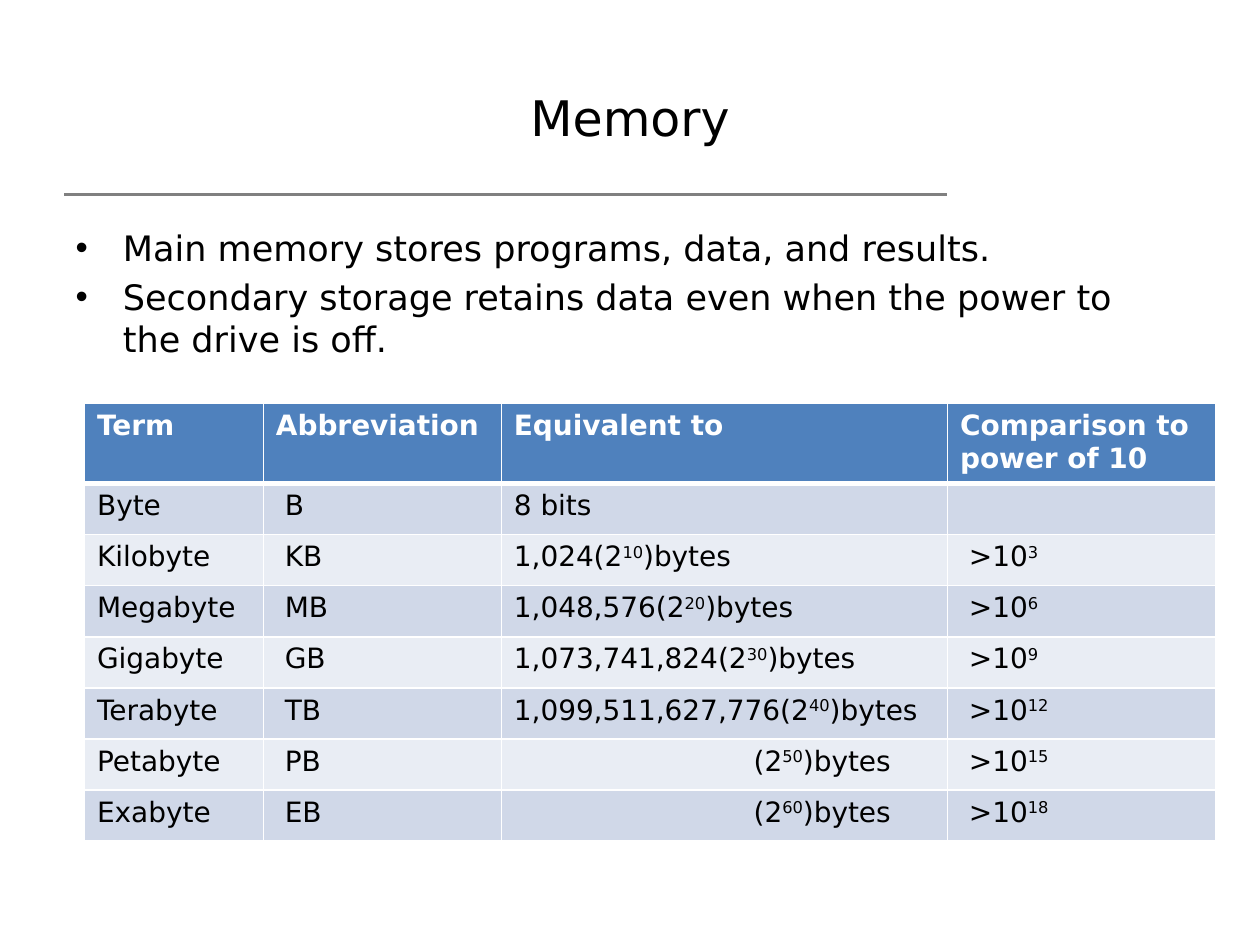
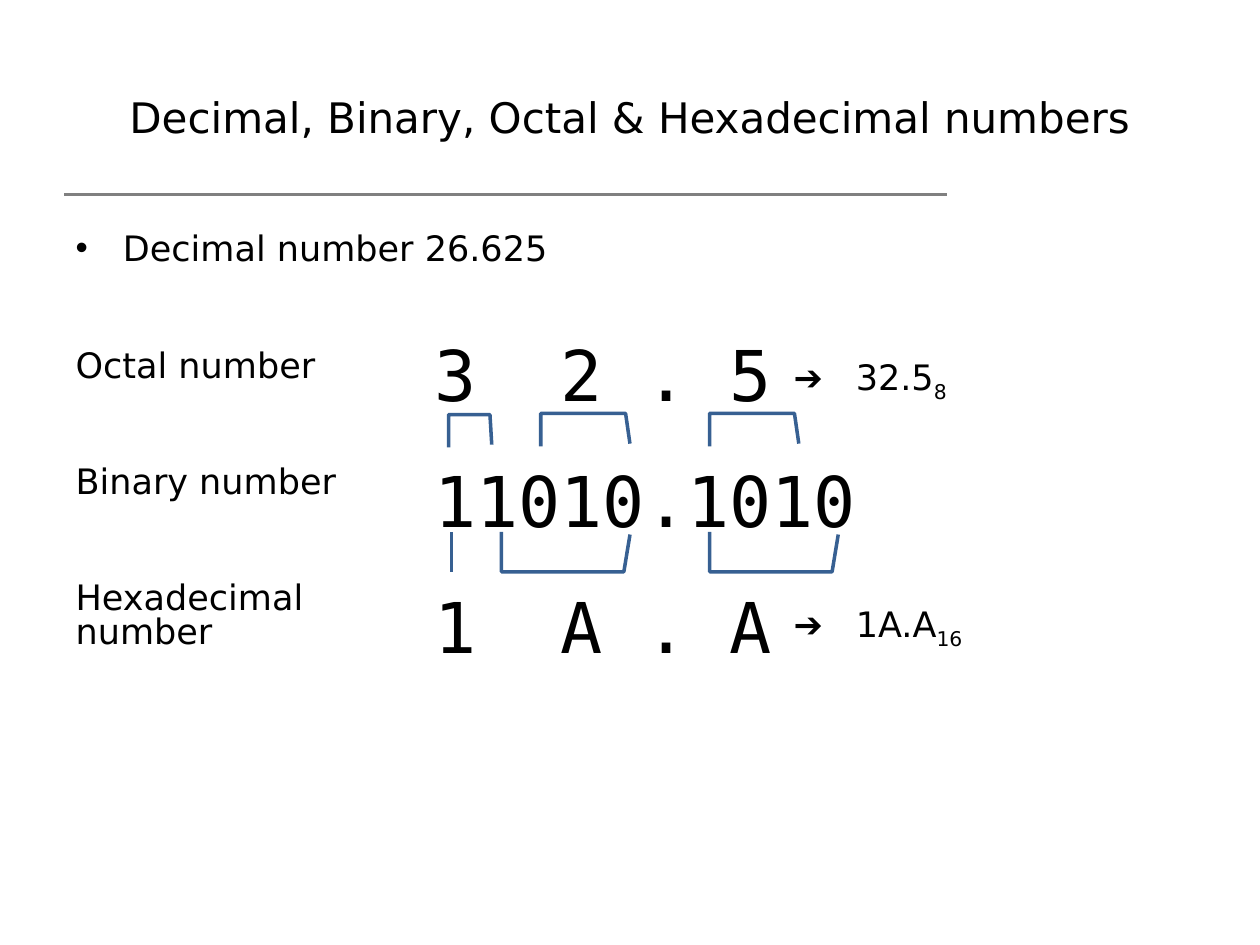
from lxml import etree
from pptx import Presentation
from pptx.dml.color import RGBColor
from pptx.enum.shapes import MSO_CONNECTOR
from pptx.enum.text import MSO_ANCHOR, MSO_AUTO_SIZE, PP_ALIGN
from pptx.oxml.ns import qn
from pptx.util import Pt

STRAIGHT = MSO_CONNECTOR.STRAIGHT
MIDDLE = MSO_ANCHOR.MIDDLE
CENTER = PP_ALIGN.CENTER
NO_FIT, GROW = MSO_AUTO_SIZE.NONE, MSO_AUTO_SIZE.SHAPE_TO_FIT_TEXT

COLORS = {"text": "000000", "white": "FFFFFF", "rule": "808080", "header": "4F81BD",
          "odd": "D0D8E8", "even": "E9EDF4", "bracket": "376092"}
SANS, MONO = "DejaVu Sans", "DejaVu Sans Mono"
SUPERSCRIPT, SUBSCRIPT = 30, -25

# Content: memory slide
MEMORY_POINTS = ["Main memory stores programs, data, and results.",
                 "Secondary storage retains data even when the power to the drive is off."]
MEMORY_HEADER = ["Term", "Abbreviation", "Equivalent to", "Comparison to power of 10"]
# term, abbreviation, number of bytes, power of 2, power of 10
MEMORY_UNITS = [("Kilobyte", "KB", "1,024", 10, 3),
                ("Megabyte", "MB", "1,048,576", 20, 6),
                ("Gigabyte", "GB", "1,073,741,824", 30, 9),
                ("Terabyte", "TB", "1,099,511,627,776", 40, 12),
                ("Petabyte", "PB", "", 50, 15),
                ("Exabyte", "EB", "", 60, 18)]
COLUMN_WIDTHS = [102.2, 136, 255, 153.4]
HEADER_HEIGHT, ROW_HEIGHT = 45.6, 29.2
POWER_INDENT = 137  # lines up powers that have no written-out number

# Content: number slide; (label, line spacing)
NUMBER_LABELS = [("Octal number", 2.6), ("Binary number", 2.6),
                 ("Hexadecimal", 2.6), ("number", 0.6)]
# value, base, top
RESULTS = [("32.5", "8", 203.1), ("1A.A", "16", 344.3)]
ARROW_LEFT, VALUE_LEFT = 453.5, 489
DIGIT_LINES = ["3  2 . 5", "11010.1010", "1  A . A"]
# left, right, slant of the right leg, y of the open end, y of the closed side
BRACKETS = [(256.3, 281, 1, 255.6, 237),
            (309, 360, 2.5, 255, 236.2),
            (405.5, 456.5, 2.5, 255, 236.2),
            (286.5, 360, 3.5, 304, 326.8),
            (405.5, 479, 3.5, 304, 326.8)]
SINGLE_DIGIT_LINE = (258, 326.8, 258, 304)


def format_runs(paragraph, size, font=SANS, color="text", bold=False):
    for run in paragraph.runs:
        run.font.size = Pt(size)
        run.font.name = font
        run.font.bold = bold
        run.font.color.rgb = RGBColor.from_string(COLORS[color])


def write_runs(paragraph, parts, size, **style):
    """Write (text, baseline) parts into one paragraph."""
    for text, baseline in parts:
        run = paragraph.add_run()
        run.text = text
        if baseline:
            run.font._element.set("baseline", str(baseline * 1000))
    format_runs(paragraph, size, **style)


def place(shape, left, top, width, height):
    shape.left, shape.top = Pt(left), Pt(top)
    shape.width, shape.height = Pt(width), Pt(height)


def add_line(slide, ends, color, width):
    line = slide.shapes.add_connector(STRAIGHT, *[Pt(value) for value in ends])
    line.line.color.rgb = RGBColor.from_string(COLORS[color])
    line.line.width = Pt(width)
    etree.SubElement(line.element.spPr, qn("a:effectLst"))
    return line


def add_slide(title, title_size, points, body_width):
    """Add a slide with its title and bulleted list."""
    slide = presentation.slides.add_slide(presentation.slide_layouts[1])
    place(slide.shapes.title, 36, 21.6, 648, 90)
    title_frame = slide.shapes.title.text_frame
    title_frame.text = title
    title_frame.vertical_anchor = MIDDLE
    title_frame.paragraphs[0].alignment = CENTER
    format_runs(title_frame.paragraphs[0], title_size)
    body = slide.placeholders[1]
    place(body, 36, 126, body_width, 356.4)
    body.text_frame.auto_size = NO_FIT
    body.text_frame.text = "\n".join(points)
    for paragraph in body.text_frame.paragraphs:
        format_runs(paragraph, 20)
    return slide


def style_cell(cell, fill, bottom_width=1):
    properties = cell._tc.get_or_add_tcPr()
    for side in ("L", "R", "T", "B"):
        width = bottom_width if side == "B" else 1
        border = etree.SubElement(properties, qn("a:ln" + side), w=str(Pt(width)))
        solid = etree.SubElement(border, qn("a:solidFill"))
        etree.SubElement(solid, qn("a:srgbClr"), val=COLORS["white"])
    cell.fill.solid()
    cell.fill.fore_color.rgb = RGBColor.from_string(COLORS[fill])


def add_result_text(slide, left, top, width, parts):
    """Add a one-line text box without margins."""
    frame = slide.shapes.add_textbox(Pt(left), Pt(top), Pt(width), Pt(24)).text_frame
    frame.margin_left = frame.margin_right = frame.margin_top = frame.margin_bottom = 0
    frame.word_wrap = True
    write_runs(frame.paragraphs[0], parts, 20)


def add_bracket(slide, left, right, slant, open_y, closed_y):
    short_y = open_y + (1.5 if closed_y > open_y else -1.5)
    builder = slide.shapes.build_freeform(Pt(left), Pt(open_y))
    corners = [(left, closed_y), (right - slant, closed_y), (right, short_y)]
    builder.add_line_segments([(Pt(x), Pt(y)) for x, y in corners], close=False)
    bracket = builder.convert_to_shape()
    bracket.shadow.inherit = False
    bracket.fill.background()
    bracket.line.color.rgb = RGBColor.from_string(COLORS["bracket"])
    bracket.line.width = Pt(2)


presentation = Presentation()
presentation.slide_width, presentation.slide_height = Pt(720), Pt(540)

# Memory slide
memory = add_slide("Memory", 28, MEMORY_POINTS, 618.5)

# Rule below the title, moved to the master so that all slides share it
rule = add_line(memory, (36.7, 111.3, 541.4, 111.3), "rule", 1.75)
presentation.slide_master.shapes.element.append(rule.element)

# Memory table
rows = [[[(text, 0)] for text in MEMORY_HEADER],
        [[("Byte", 0)], [(" B", 0)], [("8 bits", 0)], []]]
for term, abbreviation, count, power_of_two, power_of_ten in MEMORY_UNITS:
    rows.append([[(term, 0)], [(" " + abbreviation, 0)],
                 [(count + "(2", 0), (str(power_of_two), SUPERSCRIPT), (")bytes", 0)],
                 [(" >10", 0), (str(power_of_ten), SUPERSCRIPT)]])
table = memory.shapes.add_table(
    len(rows), len(COLUMN_WIDTHS), Pt(48.3), Pt(230.7), Pt(sum(COLUMN_WIDTHS)),
    Pt(HEADER_HEIGHT + ROW_HEIGHT * (len(rows) - 1))).table
for column, width in zip(table.columns, COLUMN_WIDTHS):
    column.width = Pt(width)
for row_index, row in enumerate(rows):
    is_header = row_index == 0
    table.rows[row_index].height = Pt(HEADER_HEIGHT if is_header else ROW_HEIGHT)
    fill = "header" if is_header else "odd" if row_index % 2 else "even"
    for column_index, parts in enumerate(row):
        cell = table.cell(row_index, column_index)
        style_cell(cell, fill, 3 if is_header else 1)
        paragraph = cell.text_frame.paragraphs[0]
        write_runs(paragraph, parts, 16, bold=is_header,
                   color="white" if is_header else "text")
        if parts and parts[0][0] == "(2":
            paragraph._p.get_or_add_pPr().set("marL", str(Pt(POWER_INDENT)))

# Number slide
numbers = add_slide("Decimal, Binary, Octal & Hexadecimal numbers", 24,
                    ["Decimal number 26.625"], 648)
for label, spacing in NUMBER_LABELS:
    paragraph = numbers.placeholders[1].text_frame.add_paragraph()
    paragraph.text = label
    paragraph.line_spacing = spacing
    format_runs(paragraph, 20)
    properties = paragraph._p.get_or_add_pPr()
    properties.set("marL", "0")
    properties.set("indent", "0")
    etree.SubElement(properties, qn("a:buNone"))

# Aligned digits
digits = numbers.shapes.add_textbox(Pt(241.2), Pt(162), Pt(334.8), Pt(225.4))
digits.text_frame.word_wrap = True
digits.text_frame.auto_size = GROW
digits.text_frame.text = "\n".join(DIGIT_LINES)
for paragraph in digits.text_frame.paragraphs:
    paragraph.line_spacing = 1.5
    format_runs(paragraph, 40, font=MONO)

# Results to the right of the digits
for value, base, top in RESULTS:
    add_result_text(numbers, ARROW_LEFT, top, 24, [("\u2794", 0)])
    add_result_text(numbers, VALUE_LEFT, top, 90, [(value, 0), (base, SUBSCRIPT)])

# Brackets that group the binary digits
for bracket in BRACKETS:
    add_bracket(numbers, *bracket)
add_line(numbers, SINGLE_DIGIT_LINE, "bracket", 2)

presentation.save("out.pptx")
